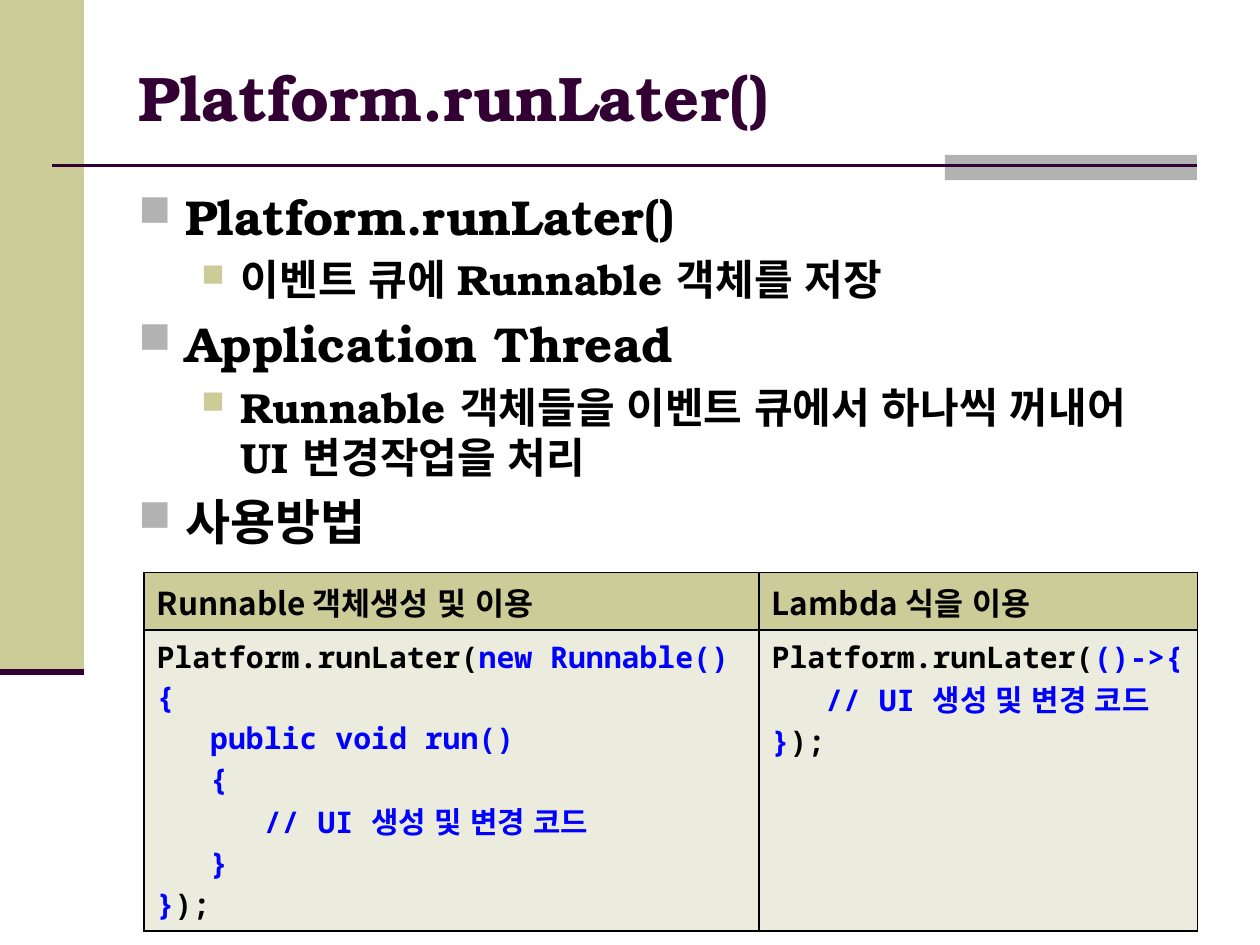
from pptx import Presentation
from pptx import util as u
from pptx.dml.color import RGBColor
from pptx.enum import lang, shapes, text
from pptx.oxml.ns import qn
from lxml import etree

Pt = u.Pt
COLORS = {
    "olive": "CCCC99", "pale": "ECECDE", "gray": "B2B2B2",
    "plum": "330033", "black": "000000", "blue": "0000FF",
}
SERIF, KOREAN, MONO = "TeX Gyre Bonum", "Noto Sans CJK KR", "Noto Sans Mono"
SQUARE = "n"  # a filled square in Wingdings

# indent, hanging, text size, bullet colour, bullet size in percent
LEVELS = [(27, 27, 28, "gray", 90), (58.5, 22.5, 24, "olive", 75)]
OUTLINE = [
    (0, "Platform.runLater()"),
    (1, "이벤트 큐에 Runnable 객체를 저장"),
    (0, "Application Thread"),
    (1, "Runnable 객체들을 이벤트 큐에서 하나씩 꺼내어 UI 변경작업을 처리"),
    (0, "사용방법"),
]
HEADERS = ["Runnable 객체생성 및 이용", "Lambda 식을 이용"]
COLUMN_WIDTHS = (351.5, 250.5)
ROW_HEIGHTS = (33, 172)
# each line is a list of (text, colour) pieces
RUNNABLE_CODE = [
    [("Platform.runLater(", "black"), ("new Runnable() {", "blue")],
    [("   public void run()", "blue")],
    [("   {", "blue")],
    [("      // UI 생성 및 변경 코드", "blue")],
    [("   }", "blue")],
    [("}", "blue"), (");", "black")],
]
LAMBDA_CODE = [
    [("Platform.runLater(", "black"), ("()->{", "blue")],
    [("   // UI 생성 및 변경 코드", "blue")],
    [("}", "blue"), (");", "black")],
]


def rgb(name):
    return RGBColor.from_string(COLORS[name])


def add_element(parent, tag, **attributes):
    return etree.SubElement(parent, qn(tag), attributes)


def add_run(paragraph, content, size, font_name, color="black"):
    run = paragraph.add_run()
    run.text = content
    run.font.size = Pt(size)
    run.font.bold = True
    run.font.language_id = lang.MSO_LANGUAGE_ID.KOREAN
    run.font.color.rgb = rgb(color)
    run.font.name = font_name
    add_element(run.font._element, "a:ea", typeface=KOREAN)


def add_block(slide, left, top, width, height, color):
    shape = slide.shapes.add_shape(
        shapes.MSO_SHAPE.RECTANGLE, Pt(left), Pt(top), Pt(width), Pt(height))
    shape.shadow.inherit = False
    shape.fill.solid()
    shape.fill.fore_color.rgb = rgb(color)
    shape.line.fill.background()


def add_rule(slide, left, right, y, weight):
    line = slide.shapes.add_connector(
        shapes.MSO_CONNECTOR.STRAIGHT, Pt(left), Pt(y), Pt(right), Pt(y))
    line.line.color.rgb = rgb("plum")
    line.line.width = Pt(weight)
    add_element(line._element.spPr, "a:effectLst")


def set_title(slide, content):
    title = slide.shapes.title
    title.left, title.top, title.width, title.height = Pt(72), Pt(21.6), Pt(612), Pt(67)
    title.text_frame.vertical_anchor = text.MSO_ANCHOR.MIDDLE
    paragraph = title.text_frame.paragraphs[0]
    paragraph.alignment = text.PP_ALIGN.LEFT
    add_run(paragraph, content, 36, SERIF, "plum")


def add_bullet(paragraph, indent, hanging, color, percent):
    properties = paragraph._p.get_or_add_pPr()
    properties.set("marL", str(Pt(indent)))
    properties.set("indent", str(-Pt(hanging)))
    bullet_color = add_element(properties, "a:buClr")
    add_element(bullet_color, "a:srgbClr", val=COLORS[color])
    add_element(properties, "a:buSzPct", val=str(percent * 1000))
    add_element(properties, "a:buFont", typeface="Wingdings", pitchFamily="2", charset="2")
    add_element(properties, "a:buChar", char=SQUARE)


def add_outline(slide):
    box = slide.shapes.add_textbox(Pt(72), Pt(103), Pt(612), Pt(402.5))
    frame = box.text_frame
    frame.word_wrap = True
    for index, (level, content) in enumerate(OUTLINE):
        paragraph = frame.add_paragraph() if index else frame.paragraphs[0]
        indent, hanging, size, color, percent = LEVELS[level]
        paragraph.level = level
        add_bullet(paragraph, indent, hanging, color, percent)
        if index:
            paragraph.space_before = Pt(size * 0.2)
        add_run(paragraph, content, size, SERIF)


def format_cell(cell, color):
    properties = cell._tc.get_or_add_tcPr()
    for side in ("a:lnL", "a:lnR", "a:lnT", "a:lnB"):
        border = add_element(properties, side, w=str(Pt(1)))
        fill = add_element(border, "a:solidFill")
        add_element(fill, "a:srgbClr", val=COLORS["black"])
    cell.fill.solid()
    cell.fill.fore_color.rgb = rgb(color)


def fill_code(cell, lines):
    frame = cell.text_frame
    for index, pieces in enumerate(lines):
        paragraph = frame.add_paragraph() if index else frame.paragraphs[0]
        for content, color in pieces:
            add_run(paragraph, content, 17, MONO, color)


def add_code_table(slide):
    frame = slide.shapes.add_table(
        2, 2, Pt(82.3), Pt(327), Pt(sum(COLUMN_WIDTHS)), Pt(sum(ROW_HEIGHTS)))
    table = frame.table
    for column, width in zip(table.columns, COLUMN_WIDTHS):
        column.width = Pt(width)
    for row, height in zip(table.rows, ROW_HEIGHTS):
        row.height = Pt(height)
    for column, (header, code) in enumerate(zip(HEADERS, (RUNNABLE_CODE, LAMBDA_CODE))):
        header_cell, code_cell = table.cell(0, column), table.cell(1, column)
        format_cell(header_cell, "olive")
        format_cell(code_cell, "pale")
        add_run(header_cell.text_frame.paragraphs[0], header, 18, KOREAN)
        fill_code(code_cell, code)


def main():
    presentation = Presentation()
    presentation.slide_width, presentation.slide_height = Pt(720), Pt(540)
    slide = presentation.slides.add_slide(presentation.slide_layouts[5])
    add_block(slide, 0, 0, 48, 384, "olive")
    add_block(slide, 540, 88.5, 144, 14.5, "gray")
    add_rule(slide, 30, 684, 94.5, 1.5)
    add_rule(slide, 0, 48, 384, 3.5)
    set_title(slide, "Platform.runLater()")
    add_outline(slide)
    add_code_table(slide)
    presentation.save("out.pptx")


if __name__ == "__main__":
    main()
